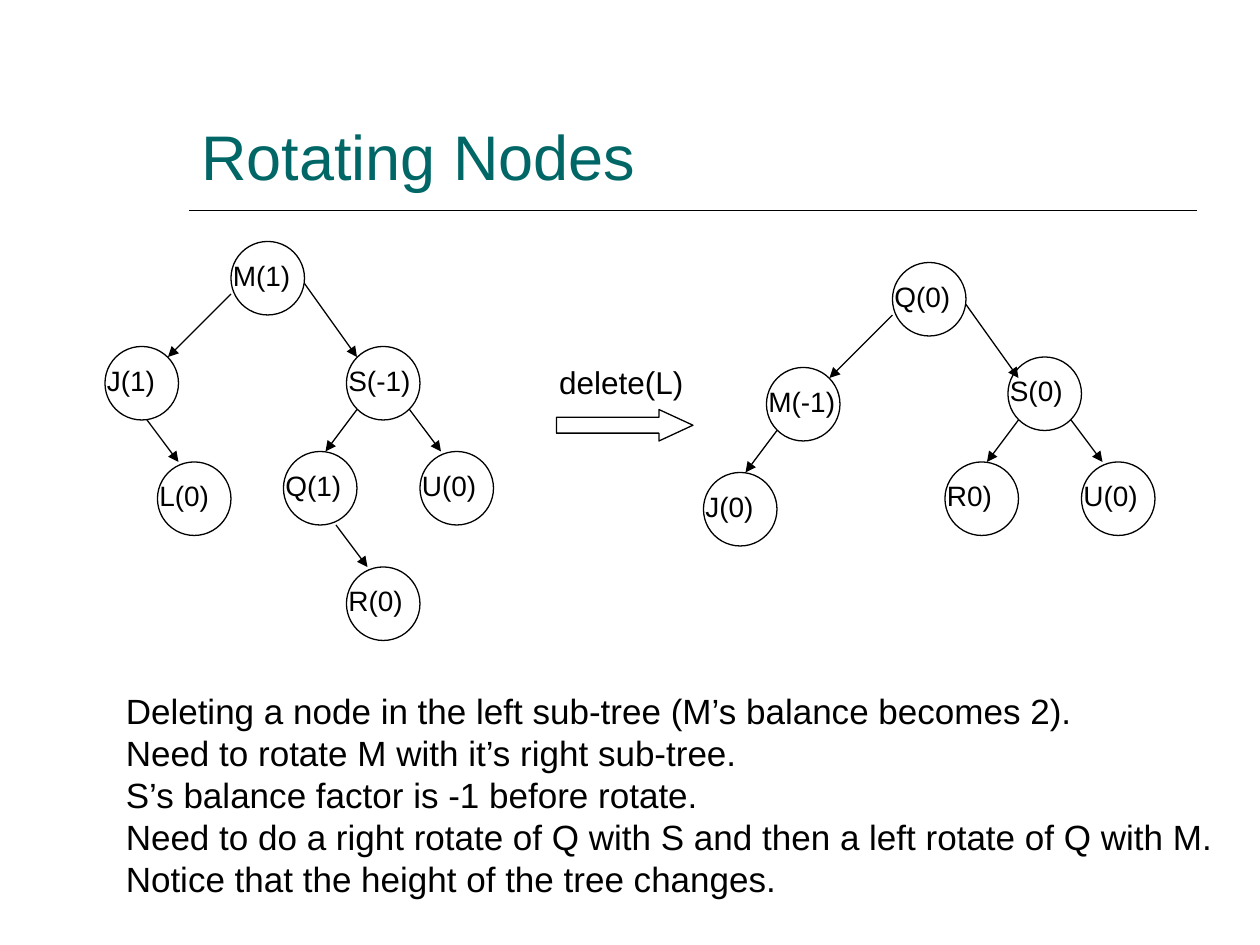
from lxml import etree
from pptx import Presentation
from pptx.dml.color import RGBColor
from pptx.enum import shapes, text
from pptx.oxml.ns import qn
from pptx.util import Inches, Pt

BLACK, TEAL = "000000", "006666"
TITLE = "Rotating Nodes"
NOTES = [
    "Deleting a node in the left sub-tree (M’s balance becomes 2).",
    "Need to rotate M with it’s right sub-tree.",
    "S’s balance factor is -1 before rotate.",
    "Need to do a right rotate of Q with S and then a left rotate of Q with M.",
    "Notice that the height of the tree changes.",
]

# The trees sit on a grid of twelfths of an inch.
NODE_SIZE = 7
# Kind of branch: start within the node, then the run of the arrow.
BRANCHES = {
    "wide left": ((0, 5), (-6, 6)),
    "wide right": ((7, 4), (5, 7)),
    "left": ((1, 6), (-3, 4)),
    "right": ((6, 6), (3, 4)),
    "under": ((4, 7), (3, 4)),
    "under right": ((5, 7), (3, 4)),
}
# Label, left, top, branches leaving the node.
BEFORE = [
    ("M(1)", 22, 23, ["wide left", "wide right"]),
    ("J(1)", 10, 33, ["under"]),
    ("S(-1)", 33, 33, ["left", "right"]),
    ("U(0)", 40, 43, []),
    ("Q(1)", 27, 43, ["under right"]),
    ("L(0)", 15, 44, []),
    ("R(0)", 33, 54, []),
]
AFTER = [
    ("Q(0)", 85, 25, ["wide left", "wide right"]),
    ("M(-1)", 73, 35, ["left"]),
    ("S(0)", 96, 34, ["left", "right"]),
    ("U(0)", 103, 44, []),
    ("J(0)", 67, 45, []),
    ("R0)", 90, 44, []),
]


def color(value):
    return RGBColor.from_string(value)


def grid(steps):
    return Inches(steps / 12)


def add_text(slide, left, top, width, height, lines, size, fill=BLACK,
             anchor=text.MSO_ANCHOR.TOP):
    box = slide.shapes.add_textbox(left, top, width, height)
    frame = box.text_frame
    frame.word_wrap = True
    frame.vertical_anchor = anchor
    for index, line in enumerate(lines):
        paragraph = frame.paragraphs[0] if index == 0 else frame.add_paragraph()
        run = paragraph.add_run()
        run.text = line
        run.font.name = "Arial"
        run.font.size = Pt(size)
        run.font.color.rgb = color(fill)
    return box


def add_outline(slide, kind, left, top, width, height):
    shape = slide.shapes.add_shape(kind, left, top, width, height)
    shape.shadow.inherit = False
    shape.fill.background()
    shape.line.color.rgb = color(BLACK)
    shape.line.width = Pt(0.75)
    return shape


def add_line(slide, x1, y1, x2, y2, width, arrow=False):
    line = slide.shapes.add_connector(shapes.MSO_CONNECTOR.STRAIGHT, x1, y1, x2, y2)
    line.line.color.rgb = color(BLACK)
    line.line.width = Pt(width)
    properties = line._element.spPr
    if arrow:
        etree.SubElement(properties.find(qn("a:ln")), qn("a:tailEnd"), type="triangle")
    etree.SubElement(properties, qn("a:effectLst"))


def add_tree(slide, nodes):
    for label, left, top, branches in nodes:
        add_outline(slide, shapes.MSO_SHAPE.OVAL, grid(left), grid(top),
                    grid(NODE_SIZE), grid(NODE_SIZE))
        add_text(slide, grid(left - 1), grid(top + 1), Inches(0.75), Inches(0.37),
                 [label], 16)
        for branch in branches:
            (start_x, start_y), (run_x, run_y) = BRANCHES[branch]
            x, y = left + start_x, top + start_y
            add_line(slide, grid(x), grid(y), grid(x + run_x), grid(y + run_y),
                     0.75, arrow=True)


def main():
    presentation = Presentation()
    presentation.slide_width, presentation.slide_height = Inches(10), Inches(7.5)
    slide = presentation.slides.add_slide(presentation.slide_layouts[6])

    add_line(slide, Inches(1.5), Inches(1.67), Inches(9.5), Inches(1.67), 1)
    add_text(slide, Inches(1.5), Inches(0.33), Inches(8), Inches(1.25), [TITLE], 36,
             TEAL, text.MSO_ANCHOR.BOTTOM)

    add_tree(slide, BEFORE)
    arrow = add_outline(slide, shapes.MSO_SHAPE.RIGHT_ARROW, grid(53), grid(39),
                        grid(13), grid(3))
    arrow.adjustments[1] = 1.08
    add_text(slide, Inches(4.34), Inches(2.83), Inches(1.2), Inches(0.4),
             ["delete(L)"], 18)
    add_tree(slide, AFTER)

    add_text(slide, Inches(0.9), Inches(5.42), Inches(8.9), Inches(1.77), NOTES, 20)
    presentation.save("out.pptx")


if __name__ == "__main__":
    main()
